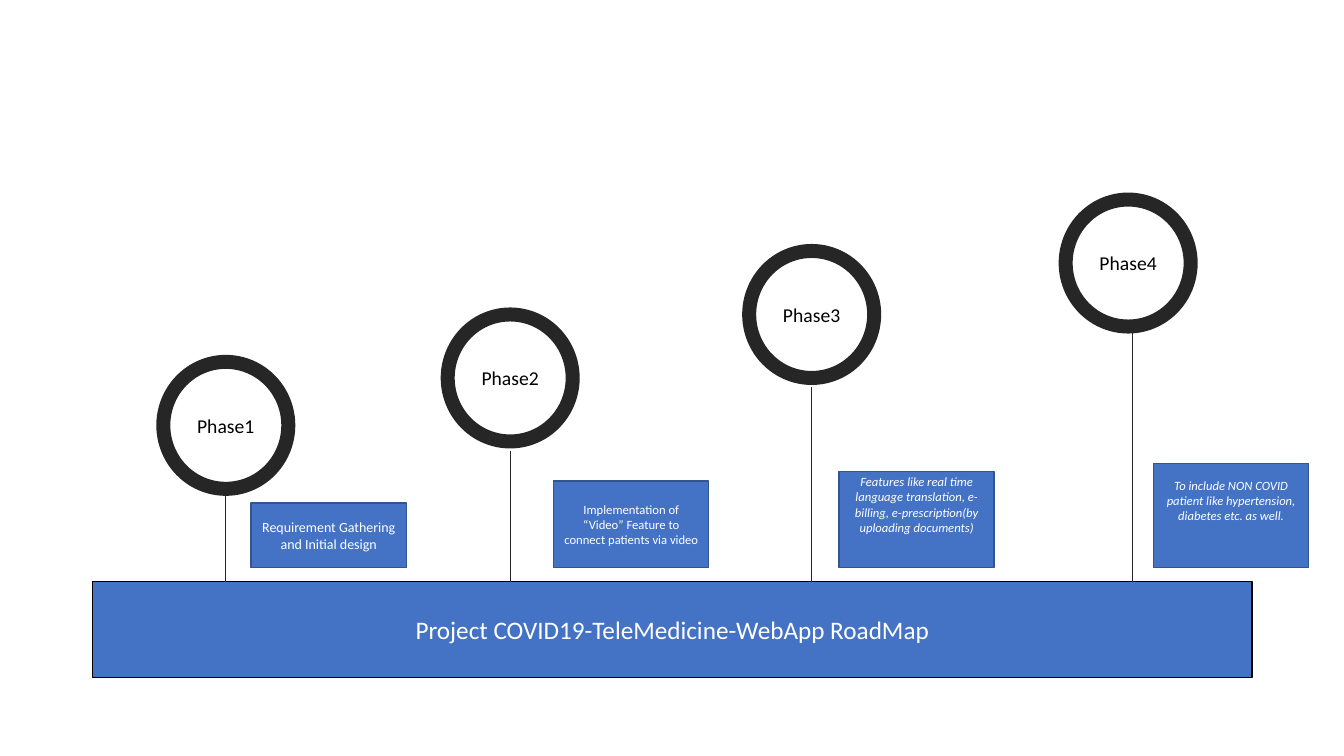
from dataclasses import dataclass

from lxml.etree import SubElement
from pptx import Presentation
from pptx.dml.color import RGBColor
from pptx.enum.shapes import MSO_CONNECTOR, MSO_SHAPE
from pptx.enum.text import MSO_ANCHOR, PP_ALIGN
from pptx.oxml.ns import qn
from pptx.util import Inches, Pt


@dataclass(frozen=True)
class Theme:
    """Colours, font and type sizes of the slide."""
    blue: str = "4472C4"
    edge: str = "325491"
    dark: str = "262626"
    black: str = "000000"
    white: str = "FFFFFF"
    font: str = "Calibri"
    title: int = 18
    phase: int = 14
    lead: int = 10
    note: int = 9


@dataclass(frozen=True)
class Phase:
    """One phase, with its places in percent of the slide."""
    name: str
    mid: float
    top: float
    stem: float
    start: float
    left: float
    card: float
    note: str
    size: int
    lift: bool = False


THEME = Theme()
WIDE, TALL = Inches(13.33), Inches(7.5)
BAR = (6.9, 76.93, 86.27, 12.67)
RING = (9.3, 16.8)
CARD, FLOOR = 11.55, 75.07
PHASES = (
    Phase("Phase1", 16.8, 47.87, 16.8, 64.67, 18.68, 66.53,
          "Requirement Gathering and Initial design", THEME.lead),
    Phase("Phase2", 37.96, 41.6, 37.96, 59.6, 41.19, 63.6,
          "Implementation of “Video” Feature to connect patients via video",
          THEME.note),
    Phase("Phase3", 60.39, 33.2, 60.39, 51.2, 62.42, 62.4,
          "Features like real time language translation, e-billing, "
          "e-prescription(by uploading documents)", THEME.note, True),
    Phase("Phase4", 83.94, 26.4, 84.25, 43.2, 85.82, 61.33,
          "To include NON COVID patient like hypertension, "
          "diabetes etc. as well.", THEME.note, True),
)


def across(part):
    """Return a percent of the slide's width as a length."""
    return round(WIDE * part / 100)


def down(part):
    """Return a percent of the slide's height as a length."""
    return round(TALL * part / 100)


def write(shape, text, size, color=THEME.white, italic=None, lift=False):
    """Put centred text in a shape, raised if lift is set."""
    frame = shape.text_frame
    frame.word_wrap = True
    frame.vertical_anchor = MSO_ANCHOR.MIDDLE
    if lift:
        frame.margin_top, frame.margin_bottom = 0, down(4)
    para = frame.paragraphs[0]
    para.alignment = PP_ALIGN.CENTER
    run = para.add_run()
    run.text = text
    font = run.font
    font.name, font.size, font.italic = THEME.font, Pt(size), italic
    font.color.rgb = RGBColor.from_string(color)


def stroke(line, color, width):
    """Set the colour and width of a line."""
    line.color.rgb = RGBColor.from_string(color)
    line.width = Pt(width)


def block(slide, kind, box, fill, edge, width):
    """Add a filled and outlined shape and return it."""
    left, top, span, rise = box
    shape = slide.shapes.add_shape(
        kind, across(left), down(top), across(span), down(rise))
    shape.shadow.inherit = False
    shape.fill.solid()
    shape.fill.fore_color.rgb = RGBColor.from_string(fill)
    stroke(shape.line, edge, width)
    return shape


def ring(slide, phase):
    """Add the named circle of a phase."""
    span, rise = RING
    box = (phase.mid - span / 2, phase.top, span, rise)
    shape = block(slide, MSO_SHAPE.OVAL, box, THEME.white, THEME.dark, 10)
    write(shape, phase.name, THEME.phase, color=THEME.black)


def stem(slide, phase):
    """Add the line from a circle to the bar."""
    line = slide.shapes.add_connector(
        MSO_CONNECTOR.STRAIGHT, across(phase.stem), down(phase.start),
        across(phase.stem), down(BAR[1]))
    stroke(line.line, THEME.dark, 0.5)
    SubElement(line.element.spPr, qn("a:effectLst"))


def card(slide, phase):
    """Add the note beside a stem."""
    box = (phase.left, phase.card, CARD, FLOOR - phase.card)
    shape = block(slide, MSO_SHAPE.RECTANGLE, box, THEME.blue, THEME.edge, 1)
    write(shape, phase.note, phase.size,
          italic=phase.lift, lift=phase.lift)


def main():
    """Build and save the roadmap."""
    deck = Presentation()
    deck.slide_width, deck.slide_height = WIDE, TALL
    slide = deck.slides.add_slide(deck.slide_layouts[6])
    bar = block(slide, MSO_SHAPE.RECTANGLE, BAR, THEME.blue, THEME.black, 1)
    write(bar, "Project COVID19-TeleMedicine-WebApp RoadMap", THEME.title)
    for draw in (ring, stem, card):
        for phase in PHASES:
            draw(slide, phase)
    deck.save("out.pptx")


if __name__ == "__main__":
    main()
